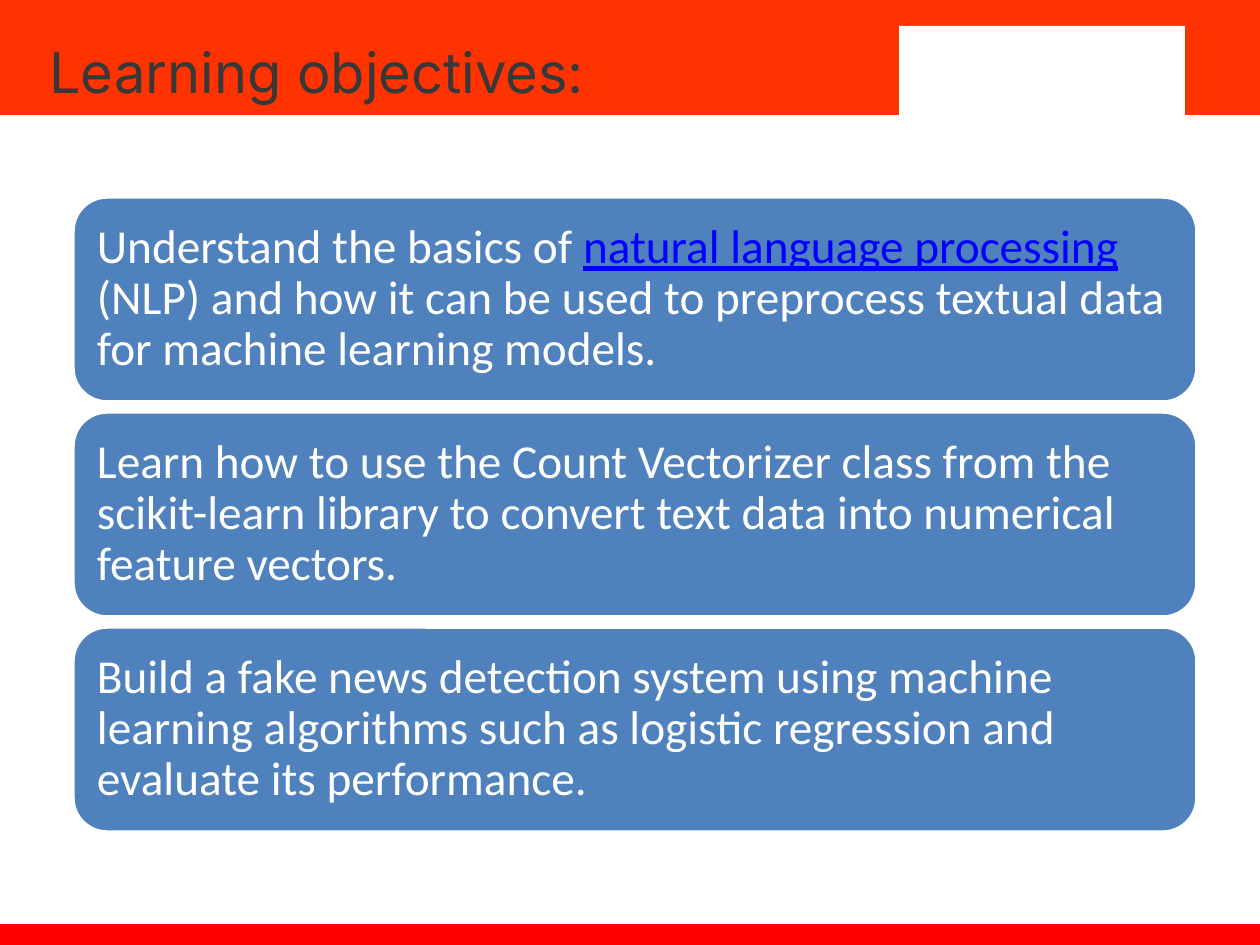
"""Build the learning objectives slide."""
from pptx import Presentation
from pptx.dml.color import RGBColor
from pptx.enum.shapes import MSO_SHAPE
from pptx.enum.text import MSO_ANCHOR, PP_ALIGN
from pptx.util import Pt

RECT, ROUND = MSO_SHAPE.RECTANGLE, MSO_SHAPE.ROUNDED_RECTANGLE
TOP, MIDDLE = MSO_ANCHOR.TOP, MSO_ANCHOR.MIDDLE
LEFT, CENTER = PP_ALIGN.LEFT, PP_ALIGN.CENTER

ORANGE = RGBColor(0xFF, 0x33, 0x00)
RED = RGBColor(0xFF, 0x00, 0x00)
WHITE = RGBColor(0xFF, 0xFF, 0xFF)
STEEL = RGBColor(0x4F, 0x81, 0xBD)
BLUE = RGBColor(0x00, 0x00, 0xFF)
GRAY = RGBColor(0x38, 0x38, 0x38)

WIDTH, HEIGHT = 1260, 945
BANDS = [
    (0, 0, WIDTH, 115, ORANGE),
    (0, 924, WIDTH, 21, RED),
    (899, 26, 286, 95, WHITE),
]
TERM = "natural language processing"
GOALS = [
    "Understand the basics of natural language processing (NLP) and how it can "
    "be used to preprocess textual data for machine learning models.",
    "Learn how to use the Count Vectorizer class from the scikit-learn library "
    "to convert text data into numerical feature vectors.",
    "Build a fake news detection system using machine learning algorithms such "
    "as logistic regression and evaluate its performance.",
]


def px(count):
    return round(count * 914400 / 126)


def add_block(slide, kind, left, top, width, height, fill):
    block = slide.shapes.add_shape(kind, px(left), px(top), px(width), px(height))
    block.shadow.inherit = False
    block.fill.solid()
    block.fill.fore_color.rgb = fill
    block.line.fill.background()
    return block


def set_font(para, name, size, color):
    para.font.name = name
    para.font.size = Pt(size)
    para.font.color.rgb = color


def add_title(slide, text):
    box = slide.shapes.add_textbox(px(-35), px(38), px(704), px(125))
    frame = box.text_frame
    frame.word_wrap = True
    frame.vertical_anchor = TOP
    frame.margin_top = 0
    para = frame.paragraphs[0]
    para.text = text
    para.alignment = CENTER
    set_font(para, "Inter", 32, GRAY)


def add_goal(slide, top, text):
    card = add_block(slide, ROUND, 73, top, 1124, 205, STEEL)
    card.line.color.rgb = WHITE
    card.line.width = Pt(2)
    frame = card.text_frame
    frame.word_wrap = True
    frame.vertical_anchor = MIDDLE
    frame.margin_left = frame.margin_right = px(14)
    para = frame.paragraphs[0]
    para.alignment = LEFT
    para.line_spacing = 0.9
    set_font(para, "Calibri", 27, WHITE)
    before, term, after = text.partition(TERM)
    for part in filter(None, (before, term, after)):
        run = para.add_run()
        run.text = part
        if part == TERM:
            run.font.color.rgb = BLUE
            run.font.underline = True


def main():
    deck = Presentation()
    deck.slide_width, deck.slide_height = px(WIDTH), px(HEIGHT)
    slide = deck.slides.add_slide(deck.slide_layouts[6])
    for band in BANDS:
        add_block(slide, RECT, *band)
    add_title(slide, "Learning objectives:")
    for row, goal in enumerate(GOALS):
        add_goal(slide, 197 + row * 215, goal)
    deck.save("out.pptx")


if __name__ == "__main__":
    main()
